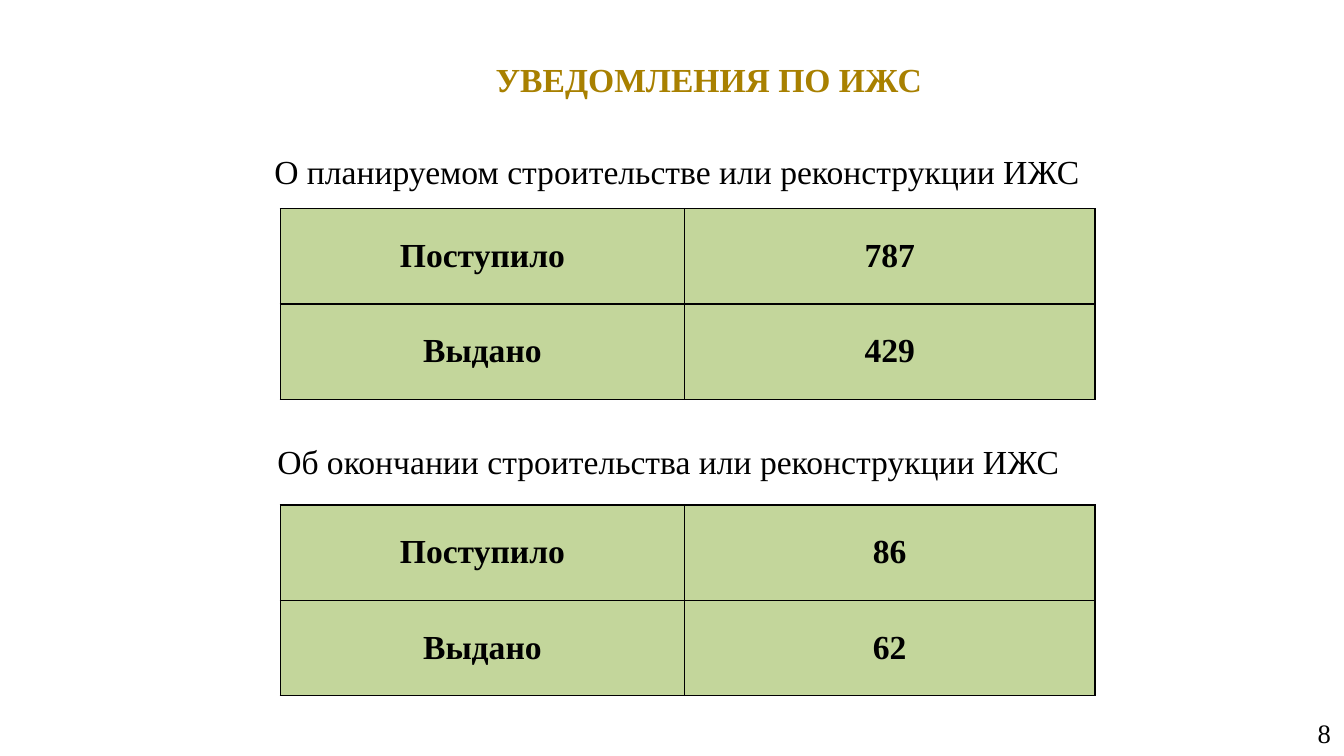
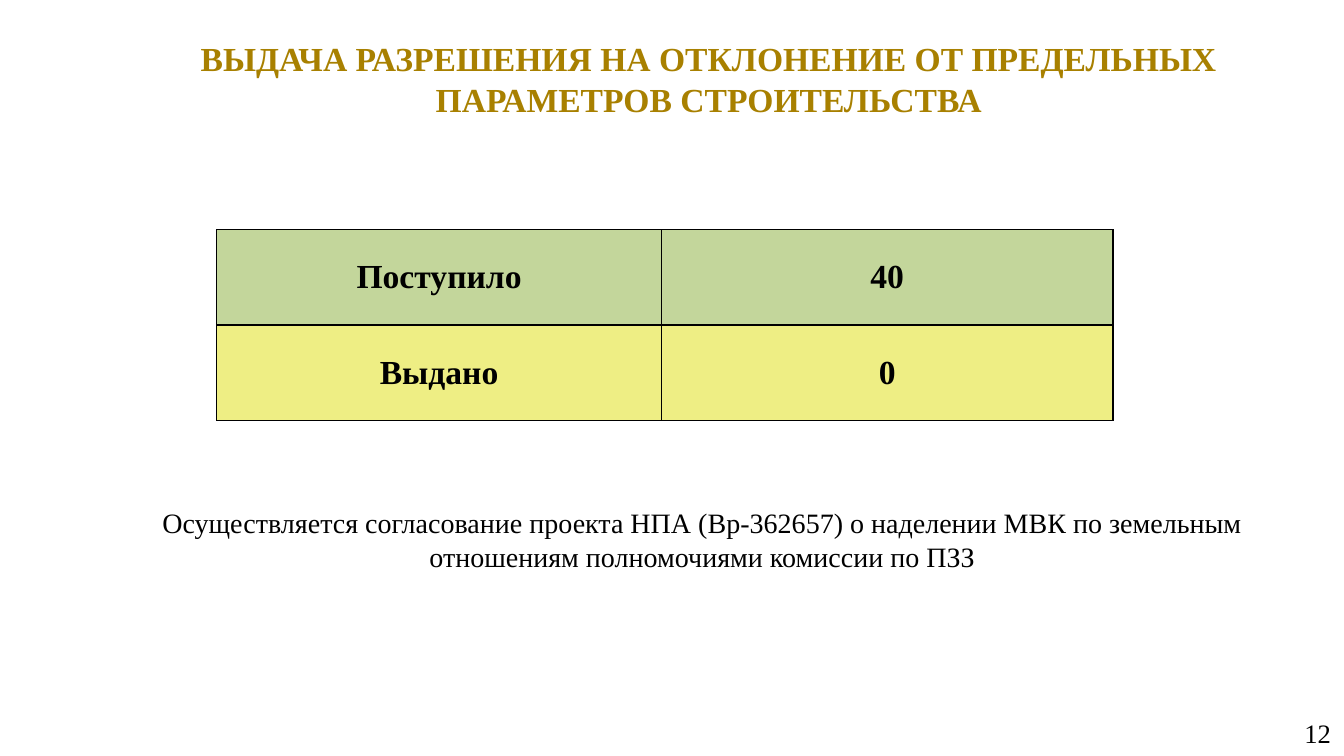
"""Builds two slides of building-notice figures with a shared title and table style."""
from dataclasses import dataclass

from lxml.etree import SubElement
from pptx import Presentation
from pptx.dml.color import RGBColor
from pptx.enum.text import MSO_ANCHOR, MSO_AUTO_SIZE, PP_ALIGN
from pptx.oxml.ns import qn
from pptx.presentation import Presentation as Deck
from pptx.slide import Slide
from pptx.table import _Cell as Cell
from pptx.text.text import TextFrame
from pptx.util import Inches, Pt

COLORS = {
    "title": "A88000",
    "text": "000000",
    "border": "000000",
    "green": "C3D69B",
    "yellow": "EEEE84",
}
FONT = "Times New Roman"
ROW_HEIGHT = 0.945
BORDER_WIDTH = Pt(0.96)


@dataclass(frozen=True)
class Caption:
    text: str
    left: float
    top: float
    width: float
    height: float
    size: float = 24
    align: PP_ALIGN = PP_ALIGN.LEFT
    anchor: MSO_ANCHOR = MSO_ANCHOR.MIDDLE


@dataclass(frozen=True)
class CountTable:
    left: float
    top: float
    widths: tuple[float, float]
    received: str
    issued: str
    issued_fill: str = "green"


@dataclass(frozen=True)
class Page:
    title: str
    number: str
    tables: tuple[CountTable, ...]
    captions: tuple[Caption, ...]


NOTICE_WIDTHS = (4.01, 4.07)
PAGES = (
    Page(
        "УВЕДОМЛЕНИЯ ПО ИЖС",
        "8",
        (
            CountTable(2.78, 2.07, NOTICE_WIDTHS, "787", "429"),
            CountTable(2.78, 5.01, NOTICE_WIDTHS, "86", "62"),
        ),
        (
            Caption("Об окончании строительства или реконструкции ИЖС",
                    2.62, 4.22, 8.08, 0.71),
            Caption("О планируемом строительстве или реконструкции ИЖС",
                    2.59, 1.43, 8.89, 0.53, anchor=MSO_ANCHOR.TOP),
        ),
    ),
    Page(
        "ВЫДАЧА РАЗРЕШЕНИЯ НА ОТКЛОНЕНИЕ ОТ ПРЕДЕЛЬНЫХ ПАРАМЕТРОВ СТРОИТЕЛЬСТВА",
        "12",
        (CountTable(2.15, 2.28, (4.41, 4.48), "40", "0", "yellow"),),
        (
            Caption("Осуществляется согласование проекта НПА (Вр-362657) о наделении МВК "
                    "по земельным отношениям полномочиями комиссии по ПЗЗ",
                    1.01, 4.97, 11.91, 0.76, 20, PP_ALIGN.CENTER),
        ),
    ),
)


def write(frame: TextFrame, text: str, size: float, align: PP_ALIGN,
          color: str = "text", bold: bool = False) -> None:
    para = frame.paragraphs[0]
    para.alignment = align
    span = para.add_run()
    span.text = text
    span.font.name = FONT
    span.font.size = Pt(size)
    span.font.bold = bold
    span.font.color.rgb = RGBColor.from_string(COLORS[color])


def set_frame(frame: TextFrame, anchor: MSO_ANCHOR) -> None:
    frame.word_wrap = True
    frame.auto_size = MSO_AUTO_SIZE.NONE
    frame.vertical_anchor = anchor
    frame.margin_left = frame.margin_right = Inches(0.13)
    frame.margin_top = frame.margin_bottom = Inches(0.07)


def add_title(slide: Slide, text: str) -> None:
    title = slide.shapes.title
    title.left, title.top = Inches(1.31), Inches(0.28)
    title.width, title.height = Inches(11.44), Inches(1)
    set_frame(title.text_frame, MSO_ANCHOR.MIDDLE)
    write(title.text_frame, text, 24, PP_ALIGN.CENTER, "title", True)


def add_caption(slide: Slide, caption: Caption) -> None:
    box = slide.shapes.add_textbox(Inches(caption.left), Inches(caption.top),
                                   Inches(caption.width), Inches(caption.height))
    set_frame(box.text_frame, caption.anchor)
    write(box.text_frame, caption.text, caption.size, caption.align)


def format_cell(cell: Cell, fill: str) -> None:
    cell.vertical_anchor = MSO_ANCHOR.MIDDLE
    cell.margin_left = cell.margin_right = Inches(0.13)
    cell.margin_top = cell.margin_bottom = Inches(0.05)
    properties = cell._tc.get_or_add_tcPr()
    for side in ("a:lnL", "a:lnR", "a:lnT", "a:lnB"):
        line = SubElement(properties, qn(side), w=str(BORDER_WIDTH))
        solid = SubElement(line, qn("a:solidFill"))
        SubElement(solid, qn("a:srgbClr"), val=COLORS["border"])
    cell.fill.solid()
    cell.fill.fore_color.rgb = RGBColor.from_string(COLORS[fill])


def add_count_table(slide: Slide, counts: CountTable) -> None:
    rows = (("Поступило", counts.received, "green"),
            ("Выдано", counts.issued, counts.issued_fill))
    table = slide.shapes.add_table(
        len(rows), len(counts.widths), Inches(counts.left), Inches(counts.top),
        Inches(sum(counts.widths)), Inches(ROW_HEIGHT * len(rows))).table
    table.first_row = table.horz_banding = False
    for column, width in zip(table.columns, counts.widths):
        column.width = Inches(width)
    for row, (label, value, fill) in zip(table.rows, rows):
        row.height = Inches(ROW_HEIGHT)
        for cell, text in zip(row.cells, (label, value)):
            format_cell(cell, fill)
            write(cell.text_frame, text, 24, PP_ALIGN.CENTER, bold=True)


def add_page(deck: Deck, page: Page) -> None:
    slide = deck.slides.add_slide(deck.slide_layouts.get_by_name("Title Only"))
    add_title(slide, page.title)
    add_caption(slide, Caption(page.number, 10.22, 7.07, 3.11, 0.4, 19, PP_ALIGN.RIGHT))
    for counts in page.tables:
        add_count_table(slide, counts)
    for caption in page.captions:
        add_caption(slide, caption)


def main() -> None:
    deck = Presentation()
    deck.slide_width, deck.slide_height = Inches(13.33), Inches(7.5)
    for page in PAGES:
        add_page(deck, page)
    deck.save("out.pptx")


if __name__ == "__main__":
    main()
